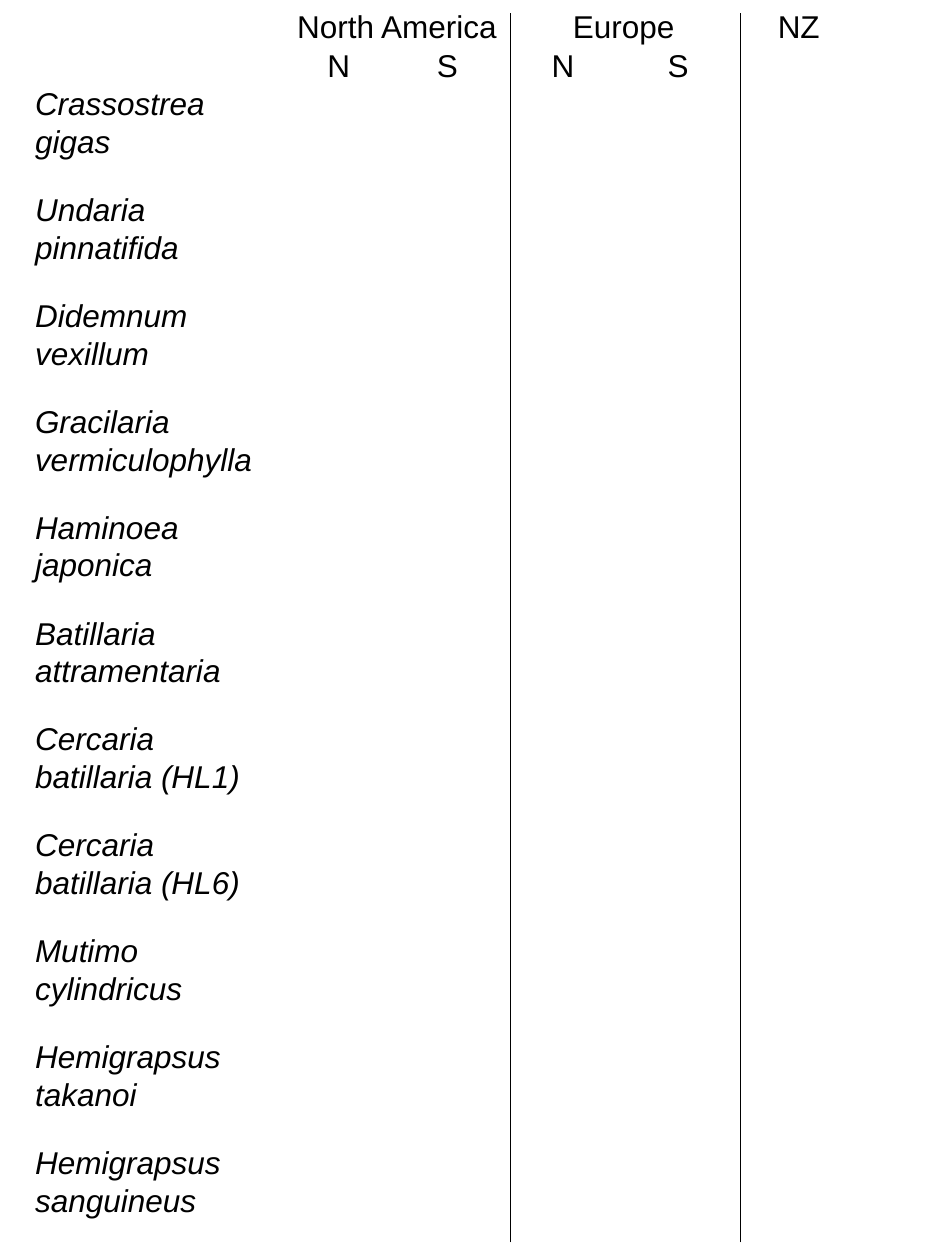
from dataclasses import dataclass

from lxml.etree import SubElement
from pptx import Presentation
from pptx.dml.color import RGBColor
from pptx.enum.shapes import MSO_CONNECTOR as Link
from pptx.enum.text import MSO_AUTO_SIZE as Fit, PP_ALIGN as Align
from pptx.oxml.ns import qn
from pptx.util import Inches, Pt


@dataclass(frozen=True)
class Theme:
    font: str = "Arial"
    size: float = 18
    ink: str = "000000"
    rule: float = 0.5


# Left edge and width, in percent of the slide's width
REGIONS = [("North America", 30, 24), ("Europe", 59.2, 13.6), ("NZ", 80.93, 7.2)]
ZONES = [("N", 33.33), ("S", 44.93), ("N", 57.07), ("S", 69.33)]
RULES = [54, 78.4]
SPECIES = [
    ("Crassostrea", "gigas", 20.8),
    ("Undaria", "pinnatifida", 18),
    ("Didemnum", "vexillum", 19.87),
    ("Gracilaria", "vermiculophylla", 25.87),
    ("Haminoea", "japonica", 18.93),
    ("Batillaria", "attramentaria", 22.53),
    ("Cercaria", "batillaria (HL1)", 24.53),
    ("Cercaria", "batillaria (HL6)", 24.53),
    ("Mutimo", "cylindricus", 18.4),
    ("Hemigrapsus", "takanoi", 23.47),
    ("Hemigrapsus", "sanguineus", 23.47),
]
MARGIN, TOP, PITCH = 2.4, 6.2, 8.4


def write(par, text, theme, italic=None, align=None):
    par.alignment = align
    run = par.add_run()
    run.text = text
    font = run.font
    font.name, font.size, font.italic = theme.font, Pt(theme.size), italic
    font.color.rgb = RGBColor.from_string(theme.ink)


class Page:
    """A slide whose lengths are given in percent of its width and height."""

    def __init__(self, deck, theme):
        self.theme = theme
        self.wide, self.high = deck.slide_width, deck.slide_height
        self.slide = deck.slides.add_slide(deck.slide_layouts[6])

    def x(self, share):
        return round(self.wide * share / 100)

    def y(self, share):
        return round(self.high * share / 100)

    def label(self, lines, left, top, width, **style):
        high = 4 if len(lines) == 1 else 7.1
        box = self.slide.shapes.add_textbox(
            self.x(left), self.y(top), self.x(width), self.y(high))
        frame = box.text_frame
        frame.word_wrap = False
        frame.auto_size = Fit.SHAPE_TO_FIT_TEXT
        for i, line in enumerate(lines):
            par = frame.add_paragraph() if i else frame.paragraphs[0]
            write(par, line, self.theme, **style)

    def rule(self, left, top, end):
        x = self.x(left)
        line = self.slide.shapes.add_connector(
            Link.STRAIGHT, x, self.y(end), x, self.y(top))
        line.line.width = Pt(self.theme.rule)
        line.line.color.rgb = RGBColor.from_string(self.theme.ink)
        SubElement(line._element.spPr, qn("a:effectLst"))


def main():
    deck = Presentation()
    deck.slide_width, deck.slide_height = Inches(7.5), Inches(10)
    page = Page(deck, Theme())

    for name, left, width in REGIONS:
        page.label([name], left, 0.1, width, align=Align.CENTER)
    for name, left in ZONES:
        page.label([name], left, 3.2, 5.07)
    for left in RULES:
        page.rule(left, 1, 98.6)
    for row, (genus, kind, width) in enumerate(SPECIES):
        page.label([genus, kind], MARGIN, TOP + row * PITCH, width, italic=True)

    deck.save("out.pptx")


if __name__ == "__main__":
    main()
